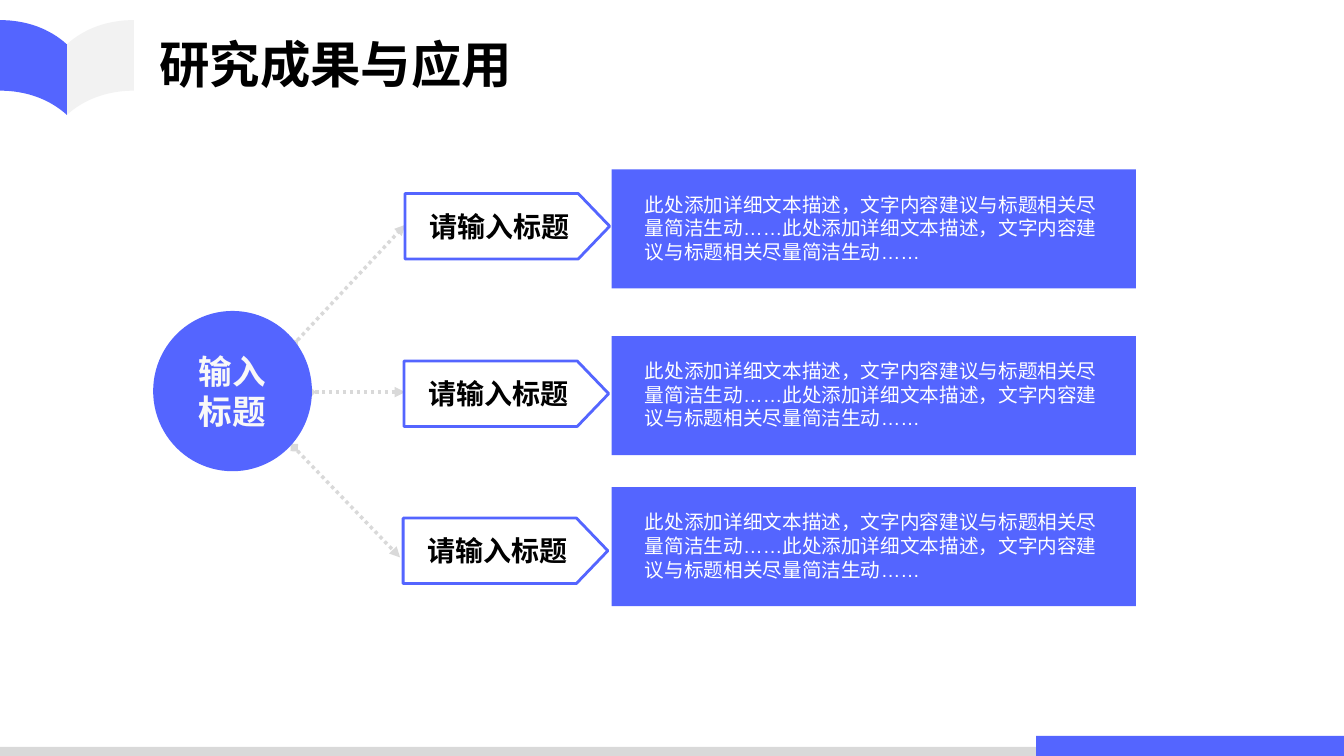
from lxml import etree
from pptx import Presentation
from pptx.dml.color import RGBColor
from pptx.enum.dml import MSO_LINE
from pptx.enum.shapes import MSO_CONNECTOR, MSO_SHAPE
from pptx.enum.text import MSO_ANCHOR, PP_ALIGN
from pptx.oxml.ns import qn
from pptx.util import Pt

STRAIGHT = MSO_CONNECTOR.STRAIGHT
RECTANGLE = MSO_SHAPE.RECTANGLE
ROUNDED = MSO_SHAPE.ROUNDED_RECTANGLE
PENTAGON = MSO_SHAPE.PENTAGON
OVAL = MSO_SHAPE.OVAL
DOTTED = MSO_LINE.ROUND_DOT
MIDDLE, TOP = MSO_ANCHOR.MIDDLE, MSO_ANCHOR.TOP
LEFT, CENTER = PP_ALIGN.LEFT, PP_ALIGN.CENTER

COLORS = {
    "blue": "5465FF",
    "page": "F2F2F2",
    "grey": "D9D9D9",
    "light": "F8F8F8",
    "white": "FFFFFF",
    "black": "000000",
}
BODY_FONT = "Arial"
TITLE_FONT = "Noto Sans CJK SC"
LABEL = "请输入标题"
SENTENCE = "此处添加详细文本描述，文字内容建议与标题相关尽量简洁生动……"
ROWS = [
    {"label": (289.3, 138.2), "panel_top": 121},
    {"label": (288.6, 257.8), "panel_top": 240},
    {"label": (288, 370), "panel_top": 348},
]
ARROWS = [
    ((210.2, 245.5), (289.4, 160.6)),
    ((210.2, 319.7), (285.8, 398.2)),
    ((221.8, 280.1), (289.4, 280.1)),
]
SPINE = 47.8
PAGE_TOP = 14.4
PAGE_HEIGHT = 50.4
CURVE = [(0, 14.4), (18.7, 14.4), (35.3, 20.4), (SPINE, 31.7)]
CURVE_STEPS = 16


def color(name):
    return RGBColor.from_string(COLORS[name])


def add_run(paragraph, text, size, color_name, bold=False, font=BODY_FONT):
    run = paragraph.add_run()
    run.text = text
    run.font.name = font
    run.font.size = Pt(size)
    run.font.bold = bold
    run.font.color.rgb = color(color_name)
    properties = run.font._element
    properties.set("lang", "zh-CN")
    east_asian = etree.SubElement(properties, qn("a:ea"))
    east_asian.set("typeface", font)


def write_lines(shape, lines, size, color_name, bold=False, font=BODY_FONT,
                alignment=CENTER, anchor=MIDDLE, side_inset=7.2):
    frame = shape.text_frame
    frame.word_wrap = True
    frame.vertical_anchor = anchor
    frame.margin_left = frame.margin_right = Pt(side_inset)
    frame.margin_top = frame.margin_bottom = Pt(3.6)
    for index, line in enumerate(lines):
        paragraph = frame.paragraphs[0] if index == 0 else frame.add_paragraph()
        paragraph.alignment = alignment
        add_run(paragraph, line, size, color_name, bold, font)


def paint(shape, fill=None, outline=None):
    shape.shadow.inherit = False
    if fill:
        shape.fill.solid()
        shape.fill.fore_color.rgb = color(fill)
    else:
        shape.fill.background()
    if outline:
        shape.line.color.rgb = color(outline)
        shape.line.width = Pt(2)
    else:
        shape.line.fill.background()


def add_block(slide, kind, box, fill=None, outline=None):
    shape = slide.shapes.add_shape(kind, *map(Pt, box))
    paint(shape, fill, outline)
    return shape


def curve_point(t):
    weights = ((1 - t) ** 3, 3 * t * (1 - t) ** 2, 3 * t ** 2 * (1 - t), t ** 3)
    return tuple(sum(weight * point[axis] for weight, point in zip(weights, CURVE))
                 for axis in (0, 1))


def add_book_page(slide, fill, mirrored):
    upper = [curve_point(step / CURVE_STEPS) for step in range(CURVE_STEPS + 1)]
    lower = [(x, y + PAGE_HEIGHT) for x, y in reversed(upper)]
    points = [(Pt(2 * SPINE - x if mirrored else x), Pt(y)) for x, y in upper + lower]
    builder = slide.shapes.build_freeform(*points[0])
    builder.add_line_segments(points[1:], close=True)
    paint(builder.convert_to_shape(), fill)


def add_arrow(slide, start, end):
    connector = slide.shapes.add_connector(STRAIGHT, *map(Pt, start + end))
    connector.line.color.rgb = color("grey")
    connector.line.width = Pt(2.5)
    connector.line.dash_style = DOTTED
    line = connector.line._get_or_add_ln()
    for tag, kind in (("a:headEnd", "diamond"), ("a:tailEnd", "triangle")):
        etree.SubElement(line, qn(tag)).set("type", kind)
    etree.SubElement(connector._element.spPr, qn("a:effectLst"))


def add_title(slide, text):
    title = slide.shapes.title
    title.left, title.top, title.width, title.height = map(Pt, (113.8, 30.2, 339.1, 30.2))
    write_lines(title, [text], 36, "black", True, TITLE_FONT, LEFT, side_inset=0)


def add_row(slide, label, panel_top):
    tag = add_block(slide, PENTAGON, (*label, 146.2, 46.8), outline="blue")
    tag.adjustments[0] = 0.48
    write_lines(tag, [LABEL], 20, "black", True)
    panel = add_block(slide, ROUNDED, (437, panel_top, 374.4, 85), "blue")
    panel.adjustments[0] = 0
    description = slide.shapes.add_textbox(Pt(453.6), Pt(panel_top + 13), Pt(339.8), Pt(58.3))
    write_lines(description, [SENTENCE * 2], 14, "white", alignment=LEFT, anchor=TOP)


def main():
    presentation = Presentation()
    presentation.slide_width, presentation.slide_height = Pt(960), Pt(540)
    slide = presentation.slides.add_slide(presentation.slide_layouts[5])
    add_title(slide, "研究成果与应用")
    add_book_page(slide, "page", True)
    add_book_page(slide, "blue", False)
    add_block(slide, RECTANGLE, (740, 525.6, 220, 14.4), "blue")
    add_block(slide, RECTANGLE, (0, 533.5, 740, 6.5), "grey")
    for start, end in ARROWS:
        add_arrow(slide, start, end)
    for row in ROWS:
        add_row(slide, **row)
    circle = add_block(slide, OVAL, (109.4, 222.1, 113.4, 114.5), "blue")
    write_lines(circle, ["输入", "标题"], 24, "light", True)
    presentation.save("out.pptx")


if __name__ == "__main__":
    main()
